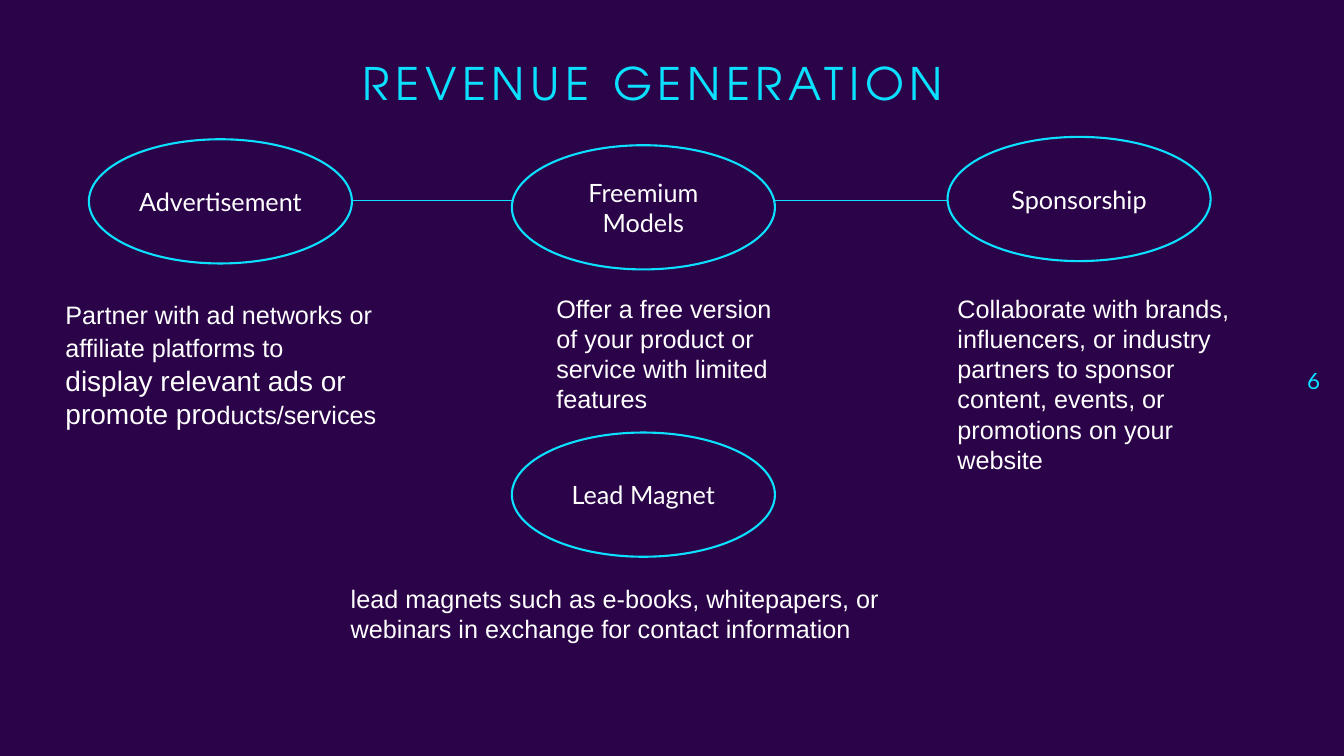
from dataclasses import dataclass

from lxml import etree
from pptx import Presentation
from pptx.dml.color import RGBColor
from pptx.enum import shapes, text
from pptx.oxml import ns
from pptx.util import Cm, Pt


@dataclass(frozen=True)
class Theme:
    back: RGBColor = RGBColor(0x2B, 0x03, 0x48)
    accent: RGBColor = RGBColor(0x0B, 0xE1, 0xFF)
    light: RGBColor = RGBColor(0xFF, 0xFF, 0xFF)
    title_font: str = "TeX Gyre Adventor"
    label_font: str = "Lato"
    body_font: str = "Arial"
    title_size: int = 32
    emphasis_size: int = 20
    body_size: int = 18
    number_size: int = 16


@dataclass(frozen=True)
class Bubble:
    label: str
    left: float
    top: float


@dataclass(frozen=True)
class Note:
    wording: tuple  # (text, size) pairs
    left: float
    top: float
    width: float
    height: float


THEME = Theme()
BUBBLE_WIDTH, BUBBLE_HEIGHT = 6.63, 3.13  # cm

BUBBLES = [
    Bubble("Advertisement", 2.24, 3.51),
    Bubble("Freemium\nModels", 12.9, 3.66),
    Bubble("Sponsorship", 23.88, 3.45),
    Bubble("Lead Magnet", 12.9, 10.9),
]

BODY = THEME.body_size
NOTES = [
    Note((("Offer a free version of your product or service with limited features", BODY),),
         13.77, 7.26, 6.15, 3.33),
    Note((("Collaborate with brands, influencers, or industry partners to sponsor "
           "content, events, or promotions on your website", BODY),),
         23.88, 7.26, 8.13, 4.11),
    Note((("lead magnets such as e-books, whitepapers, or webinars in exchange for "
           "contact information", BODY),),
         8.59, 14.58, 16.18, 1.8),
    Note((("Partner with ad networks or affiliate platforms to", BODY),
          (" display relevant ads or promote pro", THEME.emphasis_size),
          ("ducts/services", BODY)),
         1.4, 7.42, 8.38, 3.58),
]


def style_run(r, font: str, size: int, color: RGBColor) -> None:
    r.font.name = font
    r.font.size = Pt(size)
    r.font.color.rgb = color


def add_title(slide, title: str) -> None:
    sp = slide.shapes.title
    sp.left, sp.top, sp.width, sp.height = Cm(8.89), Cm(1.42), Cm(16.84), Cm(1.6)
    tf = sp.text_frame
    tf.text = title
    tf.vertical_anchor = text.MSO_ANCHOR.TOP
    tf.auto_size = text.MSO_AUTO_SIZE.NONE
    p = tf.paragraphs[0]
    p.alignment = text.PP_ALIGN.LEFT
    p.line_spacing = 0.9
    r = p.runs[0]
    style_run(r, THEME.title_font, THEME.title_size, THEME.accent)
    r.font._element.set("spc", "400")


def add_number(slide, number: str) -> None:
    sp = slide.shapes.add_textbox(Cm(32), Cm(8.79), Cm(1.52), Cm(1.6))
    tf = sp.text_frame
    tf.word_wrap = True
    tf.vertical_anchor = text.MSO_ANCHOR.MIDDLE
    tf.text = number
    p = tf.paragraphs[0]
    p.alignment = text.PP_ALIGN.RIGHT
    style_run(p.runs[0], THEME.label_font, THEME.number_size, THEME.accent)


def add_link(slide, left: float, right: float, y: float) -> None:
    line = slide.shapes.add_connector(
        shapes.MSO_CONNECTOR.STRAIGHT, Cm(left), Cm(y), Cm(right), Cm(y))
    line.line.color.rgb = THEME.accent
    line.line.width = Pt(0.5)
    etree.SubElement(line._element.spPr, ns.qn("a:effectLst"))


def add_bubble(slide, bubble: Bubble) -> None:
    sp = slide.shapes.add_shape(
        shapes.MSO_SHAPE.OVAL, Cm(bubble.left), Cm(bubble.top),
        Cm(BUBBLE_WIDTH), Cm(BUBBLE_HEIGHT))
    sp.shadow.inherit = False
    sp.fill.solid()
    sp.fill.fore_color.rgb = THEME.back
    sp.line.color.rgb = THEME.accent
    sp.line.width = Pt(1.5)
    tf = sp.text_frame
    tf.vertical_anchor = text.MSO_ANCHOR.MIDDLE
    tf.text = bubble.label
    for p in tf.paragraphs:
        p.alignment = text.PP_ALIGN.CENTER
        style_run(p.runs[0], THEME.label_font, THEME.body_size, THEME.light)


def add_note(slide, note: Note) -> None:
    sp = slide.shapes.add_textbox(
        Cm(note.left), Cm(note.top), Cm(note.width), Cm(note.height))
    tf = sp.text_frame
    tf.word_wrap = True
    tf.auto_size = text.MSO_AUTO_SIZE.SHAPE_TO_FIT_TEXT
    p = tf.paragraphs[0]
    for words, size in note.wording:
        r = p.add_run()
        r.text = words
        style_run(r, THEME.body_font, size, THEME.light)


def main() -> None:
    prs = Presentation()
    prs.slide_width, prs.slide_height = Cm(33.87), Cm(19.05)
    slide = prs.slides.add_slide(prs.slide_layouts[5])
    slide.background.fill.solid()
    slide.background.fill.fore_color.rgb = THEME.back

    # Heading and page number
    add_title(slide, "REVENUE GENERATION")
    add_number(slide, "6")

    # Line behind the top row of bubbles
    add_link(slide, 8.89, 27.18, 5.05)

    # Revenue sources and their descriptions
    for bubble in BUBBLES:
        add_bubble(slide, bubble)
    for note in NOTES:
        add_note(slide, note)

    prs.save("out.pptx")


if __name__ == "__main__":
    main()
